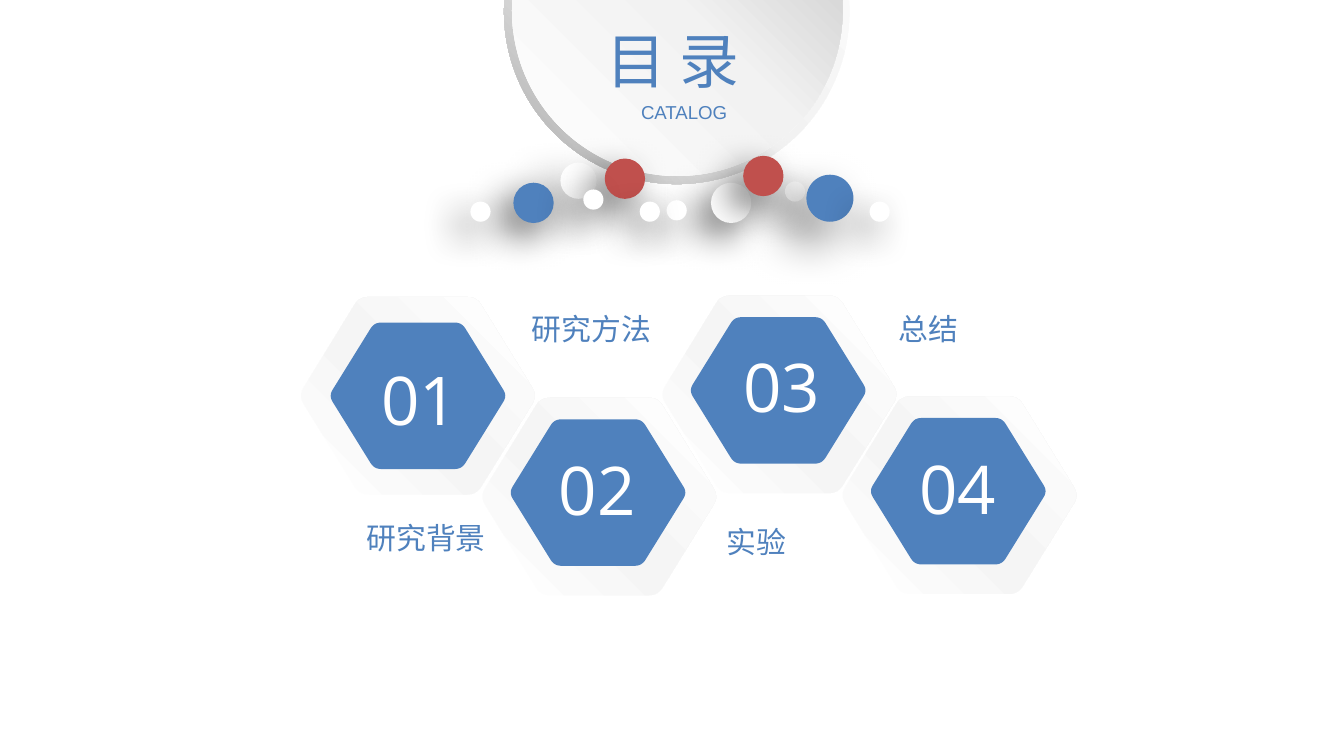
import pptx
import pptx.util
import pptx.oxml
import pptx.oxml.ns
import pptx.dml.color
import pptx.enum.shapes
import pptx.enum.text

Inches = pptx.util.Inches
SHAPE = pptx.enum.shapes.MSO_SHAPE
ANCHOR = pptx.enum.text.MSO_ANCHOR
ALIGN = pptx.enum.text.PP_ALIGN
COLORS = {"blue": "4F81BD", "red": "C0504D", "white": "FFFFFF", "black": "000000",
          "pale": "F5F5F5", "light": "F2F2F2", "mid": "BFBFBF", "dark": "A6A6A6"}
CJK = "Noto Sans CJK SC"
NS = pptx.oxml.ns.nsdecls("a")


def paint(shape, color):
    """Give a shape a flat fill with no line or shadow."""
    shape.shadow.inherit = False
    shape.line.fill.background()
    shape.fill.solid()
    shape.fill.fore_color.rgb = pptx.dml.color.RGBColor.from_string(COLORS[color])


def blend(shape, stops, angle):
    """Give a shape a linear gradient of (percent, color) stops."""
    paint(shape, "white")
    marks = "".join(f'<a:gs pos="{pos * 1000}"><a:srgbClr val="{COLORS[color]}"/></a:gs>'
                    for pos, color in stops)
    grad = pptx.oxml.parse_xml(f'<a:gradFill {NS} rotWithShape="1"><a:gsLst>{marks}</a:gsLst>'
                               f'<a:lin ang="{angle * 60000}" scaled="0"/></a:gradFill>')
    props = shape._element.spPr
    props.replace(props.find(pptx.oxml.ns.qn("a:solidFill")), grad)


def shade(shape, alpha, blur, dist):
    """Cast a soft shadow to the lower left."""
    effects = shape._element.spPr.find(pptx.oxml.ns.qn("a:effectLst"))
    effects.append(pptx.oxml.parse_xml(
        f'<a:outerShdw {NS} blurRad="{pptx.util.Pt(blur)}" dist="{pptx.util.Pt(dist)}" '
        f'dir="{135 * 60000}" algn="tr" rotWithShape="0">'
        f'<a:srgbClr val="{COLORS["black"]}"><a:alpha val="{alpha * 1000}"/></a:srgbClr>'
        '</a:outerShdw>'))


def write(shape, text, size, font, color="blue", align=ALIGN.LEFT, anchor=ANCHOR.TOP):
    """Set and format the text of a shape."""
    frame = shape.text_frame
    frame.text = text
    frame.word_wrap = True
    frame.vertical_anchor = anchor
    frame.paragraphs[0].alignment = align
    run = frame.paragraphs[0].runs[0]
    run.font.size = pptx.util.Pt(size)
    run.font.name = font
    run.font.color.rgb = pptx.dml.color.RGBColor.from_string(COLORS[color])
    run._r.get_or_add_rPr().find(pptx.oxml.ns.qn("a:latin")).addnext(
        pptx.oxml.parse_xml(f'<a:ea {NS} typeface="{CJK}"/>'))


def add_text(shapes, box, text, size, font, **style):
    """Add a text box."""
    label = shapes.add_textbox(*map(Inches, box))
    write(label, text, size, font, **style)
    return label


def add_disc(slide, left, top, size):
    """Draw the large disc with its rim."""
    group = slide.shapes.add_group_shape()
    rim = group.shapes.add_shape(SHAPE.DONUT, *map(Inches, (left, top, size, size)))
    rim.adjustments[0] = 0.049
    blend(rim, [(0, "white"), (55, "light"), (100, "dark")], 135)
    face = group.shapes.add_shape(
        SHAPE.OVAL, *map(Inches, (left + 0.06, top + 0.05, size - 0.11, size - 0.11)))
    blend(face, [(0, "white"), (51, "light"), (100, "mid")], 315)


def add_dots(slide, left, top):
    """Scatter the small shaded balls from the given corner."""
    dots = [(1.79, 0.2, 0.3, "white"), (1.46, 0.33, 0.15, "white"),
            (2.34, 0.19, 0.15, "white"), (0.67, 0.05, 0.27, "white"),
            (1, 0.02, 0.3, "red"), (1.26, 0.34, 0.15, "white"),
            (2.5, 0.14, 0.35, "blue"), (0.32, 0.2, 0.3, "blue"),
            (0, 0.34, 0.15, "white"), (2.03, 0, 0.3, "red"),
            (0.84, 0.25, 0.15, "white"), (2.97, 0.34, 0.15, "white")]
    for x, y, size, color in dots:
        dot = slide.shapes.add_shape(SHAPE.OVAL, *map(Inches, (left + x, top + y, size, size)))
        paint(dot, color)
        shade(dot, *((50, 25, 15) if size in (0.27, 0.35) else (60, 20, 10)))


def add_hex(shapes, left, top, width, height):
    """Draw a flat-topped hexagon with rounded corners."""
    tips = [(left + x * width, top + y * height) for x, y in
            ((-0.01, 0.5), (0.25, 0), (0.75, 0), (1.01, 0.5), (0.75, 1), (0.25, 1))]
    cut, steps, points = 0.08, 6, []
    for i, tip in enumerate(tips):
        start, end = ([t + cut * (n - t) for t, n in zip(tip, near)]
                      for near in (tips[i - 1], tips[(i + 1) % 6]))
        for step in range(steps + 1):
            t = step / steps
            points.append(tuple(Inches((1 - t) ** 2 * a + 2 * t * (1 - t) * b + t * t * c)
                                for a, b, c in zip(start, tip, end)))
    outline = shapes.build_freeform(*points[0])
    outline.add_line_segments(points[1:], close=True)
    return outline.convert_to_shape()


def add_badge(slide, left, top, number, inner, spot, width):
    """Draw a numbered hexagon in its pale frame."""
    shapes = slide.shapes.add_group_shape().shapes
    paint(add_hex(shapes, left, top, 1.75, 1.49), "white")
    blend(add_hex(shapes, left + 0.01, top + 0.01, 1.74, 1.47),
          [(0, "white"), (47, "pale"), (100, "white")], 315)
    paint(add_hex(shapes, left + inner[0], top + inner[1], 1.3, 1.09), "blue")
    add_text(shapes, (left + spot[0], top + spot[1], width, 0.71),
             number, 36, "Open Sans", color="white")


def add_head(slide, left, top):
    """Place the title and its subtitle."""
    title = slide.shapes.title
    title.left, title.top, title.width, title.height = map(Inches, (left + 0.07, top, 1.35, 0.64))
    write(title, "目 录", 32, CJK)
    slide.shapes._spTree.append(title._element)
    add_text(slide.shapes, (left, top + 0.49, 1.5, 0.42), "CATALOG", 10, "Arial",
             align=ALIGN.CENTER, anchor=ANCHOR.MIDDLE)


def build():
    """Build and save the contents slide."""
    deck = pptx.Presentation()
    deck.slide_width = Inches(10)
    deck.slide_height = deck.slide_width * 9 // 16
    slide = deck.slides.add_slide(deck.slide_layouts[5])
    add_disc(slide, 3.75, -1.2, 2.57)
    add_dots(slide, 3.5, 1.16)
    add_head(slide, 4.34, 0.13)
    for badge in [(4.92, 2.19, "03", (0.22, 0.17), (0.51, 0.33), 0.85),
                  (2.23, 2.2, "01", (0.23, 0.2), (0.51, 0.42), 0.88),
                  (3.58, 2.95, "02", (0.22, 0.17), (0.48, 0.34), 0.86),
                  (6.26, 2.94, "04", (0.22, 0.17), (0.48, 0.34), 0.97)]:
        add_badge(slide, *badge)
    for left, top, width, text in [(2.63, 3.82, 1.12, "研究背景"), (3.86, 2.26, 1.33, "研究方法"),
                                   (5.31, 3.85, 1.12, "实验"), (6.59, 2.26, 1.12, "总结")]:
        add_text(slide.shapes, (left, top, width, 0.37), text, 16, "Arial")
    deck.save("out.pptx")


build()
